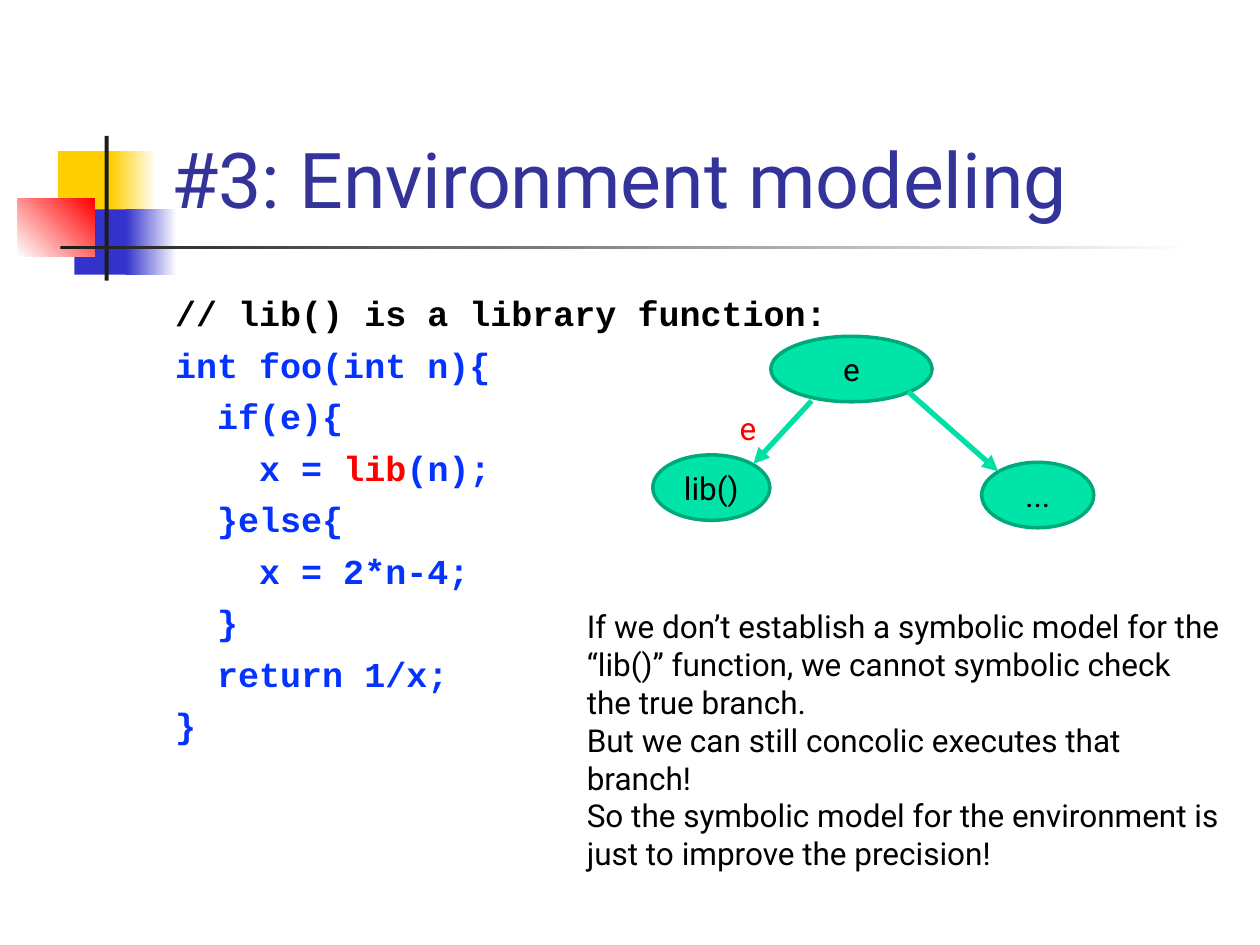
from lxml.etree import SubElement as Sub
from pptx import Presentation
from pptx.dml.color import RGBColor as Rgb
from pptx.enum.shapes import MSO_CONNECTOR as Link, MSO_SHAPE as Kind
from pptx.enum.text import MSO_ANCHOR as Anchor, PP_ALIGN as Align
from pptx.oxml.ns import qn
from pptx.util import Cm, Pt

HUES = {
    "gold": "FFCF01", "blue": "3333CC", "red": "FF0000", "dark": "1C1C1C",
    "white": "FFFFFF", "black": "000000", "title": "333399", "code": "0432FF",
    "node": "00E4A8", "edge": "00A97C", "arrow": "00DFA4",
}
SANS, MONO = "Roboto", "Courier New"

BARS = [
    ((1.17, 3.05, 1.22, 1.32), ["gold"], 0),
    ((2.24, 3.05, 0.91, 1.32), ["gold", "white"], 0),
    ((1.5, 4.22, 1.17, 1.32), ["blue"], 0),
    ((2.54, 4.22, 1.02, 1.32), ["blue", "white"], 0),
    ((0.36, 4.01, 1.55, 1.17), ["white", "red"], 45),
    ((2.11, 2.74, 0.08, 2.92), ["dark"], 0),
    ((1.22, 4.95, 22.86, 0.08), ["dark", "white"], 0),
]
CODE = [
    [("// lib() is a library function:", "black")],
    [("int foo(int n){", "code")],
    [("  if(e){", "code")],
    [("    x = ", "code"), ("lib", "red"), ("(n);", "code")],
    [("  }else{", "code")],
    [("    x = 2*n-4;", "code")],
    [("  }", "code")],
    [("  return 1/x;", "code")],
    [("}", "code")],
]
NOTE = [
    "If we don’t establish a symbolic model for the “lib()” function, "
    "we cannot symbolic check the true branch.",
    "But we can still concolic executes that branch!",
    "So the symbolic model for the environment is just to improve the precision!",
]
NODES = [
    ("e", 15.54, 6.78, 3.25),
    ("lib()", 13.16, 9.17, 2.36),
    ("...", 19.79, 9.32, 2.26),
]
ARROWS = [(16.36, 8.08, 15.19, 9.35), (18.31, 7.9, 20.12, 9.5)]


def hue(name):
    return Rgb.from_string(HUES[name])


def cms(spot):
    return [Cm(n) for n in spot]


def write(frame, lines, size, font=SANS, bold=False, gap=0, align=Align.LEFT):
    for i, line in enumerate(lines):
        para = frame.add_paragraph() if i else frame.paragraphs[0]
        para.alignment = align
        if i and gap:
            para.space_before = Pt(gap)
        for text, tone in line:
            run = para.add_run()
            run.text = text
            run.font.name = font
            run.font.size = Pt(size)
            run.font.bold = bold
            run.font.color.rgb = hue(tone)


def add_text(slide, spot, lines, size, **style):
    frame = slide.shapes.add_textbox(*cms(spot)).text_frame
    frame.word_wrap = True
    write(frame, lines, size, **style)
    return frame


def add_bar(slide, spot, tones, angle):
    bar = slide.shapes.add_shape(Kind.RECTANGLE, *cms(spot))
    bar.shadow.inherit = False
    bar.line.fill.background()
    if len(tones) == 1:
        bar.fill.solid()
        bar.fill.fore_color.rgb = hue(tones[0])
        return
    bar.fill.gradient()
    bar.fill.gradient_angle = angle
    for stop, tone in zip(bar.fill.gradient_stops, tones):
        stop.color.rgb = hue(tone)


def add_node(slide, text, left, top, width):
    node = slide.shapes.add_shape(Kind.OVAL, *cms((left, top, width, 1.32)))
    node.shadow.inherit = False
    node.fill.solid()
    node.fill.fore_color.rgb = hue("node")
    node.line.color.rgb = hue("edge")
    node.line.width = Pt(2)
    frame = node.text_frame
    frame.word_wrap = False
    frame.vertical_anchor = Anchor.MIDDLE
    write(frame, [[(text, "black")]], 18, align=Align.CENTER)


def add_arrow(slide, ends):
    arrow = slide.shapes.add_connector(Link.STRAIGHT, *cms(ends))
    arrow.line.color.rgb = hue("arrow")
    arrow.line.width = Pt(3)
    Sub(arrow.line._get_or_add_ln(), qn("a:tailEnd"), type="triangle")
    Sub(arrow._element.spPr, qn("a:effectLst"))


def main():
    deck = Presentation()
    deck.slide_width, deck.slide_height = Cm(25.4), Cm(19.05)
    slide = deck.slides.add_slide(deck.slide_layouts[6])
    for bar in BARS:
        add_bar(slide, *bar)
    title = add_text(slide, (3.2, 0.58, 21.64, 4.06),
                     [[("#3: Environment modeling", "title")]], 44)
    title.vertical_anchor = Anchor.BOTTOM
    code = add_text(slide, (3.28, 5.61, 21.59, 11.43), CODE, 20,
                    font=MONO, bold=True, gap=5.4)
    code.margin_top = Cm(0.27)
    for node in NODES:
        add_node(slide, *node)
    for ends in ARROWS:
        add_arrow(slide, ends)
    add_text(slide, (14.66, 8.13, 0.86, 1.02), [[("e", "red")]], 18)
    add_text(slide, (11.58, 12.12, 13.3, 5.64),
             [[(text, "black")] for text in NOTE], 18)
    deck.save("out.pptx")


if __name__ == "__main__":
    main()
